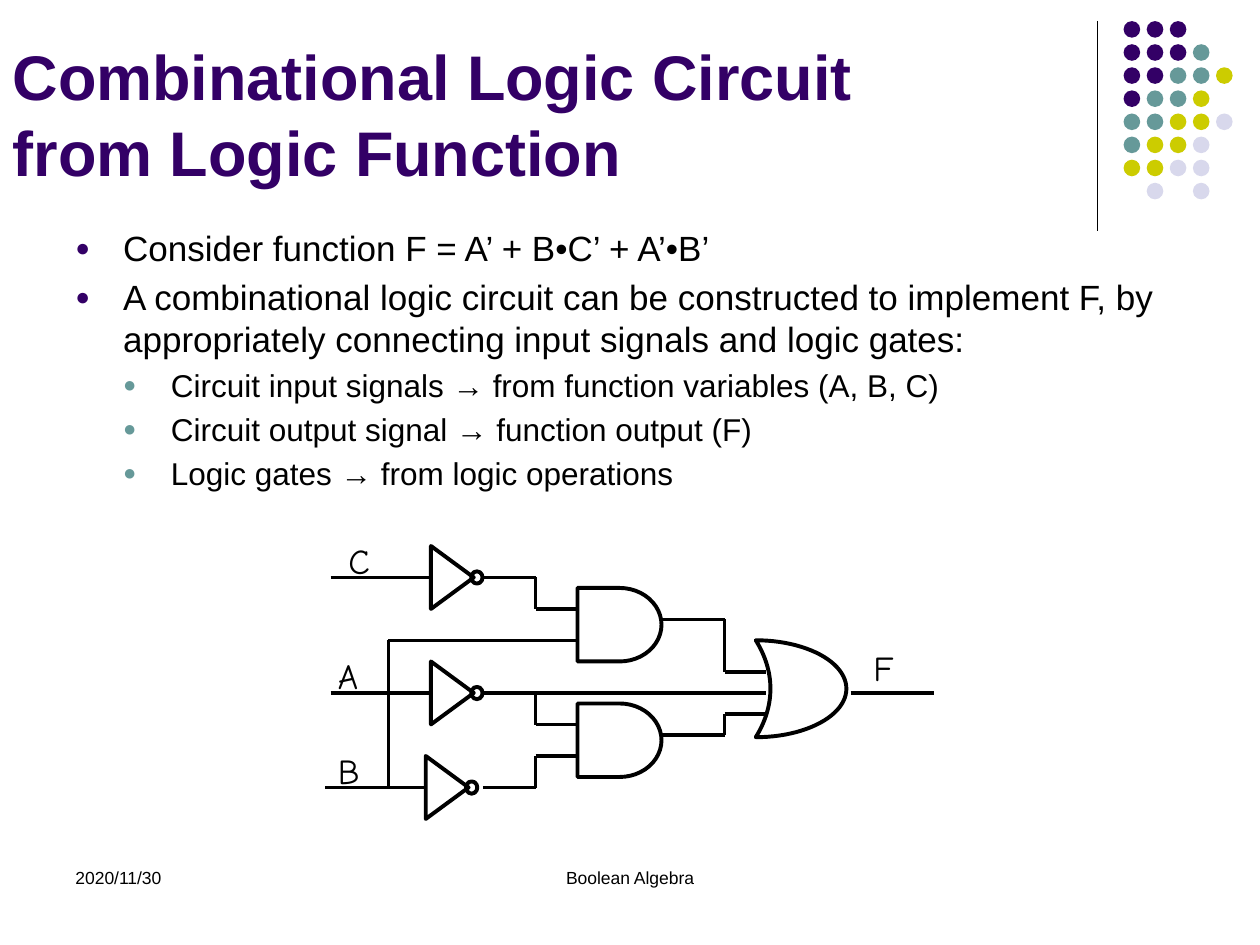
from dataclasses import dataclass

from lxml.etree import SubElement
from pptx import Presentation
from pptx.dml.color import RGBColor as RGB
from pptx.enum.shapes import MSO_CONNECTOR as LINK, MSO_SHAPE as SHAPE
from pptx.enum.text import MSO_ANCHOR as ANCHOR, MSO_AUTO_SIZE as FIT, PP_ALIGN as ALIGN
from pptx.oxml.ns import qn
from pptx.util import Pt


@dataclass(frozen=True)
class Theme:
    """Colours, fonts and type sizes of the slide."""
    black = RGB.from_string("000000")
    white = RGB.from_string("FFFFFF")
    purple = RGB.from_string("330066")
    teal = RGB.from_string("669999")
    yellow = RGB.from_string("CCCC00")
    lavender = RGB.from_string("D8D8EC")
    font = "Arial"
    label_font = "Comic Neue"
    title_size = 36
    body_sizes = (20, 18)
    label_size = 20
    footer_size = 10


theme = Theme()
prs = Presentation()
prs.slide_width, prs.slide_height = Pt(720), Pt(540)
slide = prs.slides.add_slide(prs.slide_layouts[5])
shapes = slide.shapes


def style_text(paragraph, size, color=theme.black, font=theme.font, bold=False):
    """Format every run of a paragraph."""
    for run in paragraph.runs:
        run.font.size, run.font.name, run.font.bold = Pt(size), font, bold
        run.font.color.rgb = color


def add_part(kind, center_x, center_y, width, height, fill=None, line_width=2.25):
    """Add a shape around its centre, either filled or outlined in black."""
    part = shapes.add_shape(kind, Pt(center_x - width / 2), Pt(center_y - height / 2),
                            Pt(width), Pt(height))
    part.shadow.inherit = False
    if fill is None:
        part.fill.background()
        part.line.color.rgb = theme.black
        part.line.width = Pt(line_width)
    else:
        part.fill.solid()
        part.fill.fore_color.rgb = fill
        part.line.fill.background()
    return part


# Title
title = shapes.title
title.left, title.top, title.width, title.height = Pt(0), Pt(21.6), Pt(720), Pt(90)
title.text_frame.text = "Combinational Logic Circuit\vfrom Logic Function"
title.text_frame.auto_size = FIT.NONE
title.text_frame.vertical_anchor = ANCHOR.BOTTOM
heading = title.text_frame.paragraphs[0]
heading.alignment = ALIGN.LEFT
style_text(heading, theme.title_size, theme.purple, bold=True)

# Dot ornament
dot_colors = {"P": theme.purple, "T": theme.teal, "Y": theme.yellow, "L": theme.lavender}
dot_rows = ("PPP", "PPPT", "PPTTY", "PTTY", "TTYYL", "TYYL", "YYLL", " L L")
dot_pitch, dot_size = 13.2, 9.5
for row, pattern in enumerate(dot_rows):
    for column, key in enumerate(pattern):
        if key in dot_colors:
            add_part(SHAPE.OVAL, 646.8 + column * dot_pitch, 16.8 + row * dot_pitch,
                     dot_size, dot_size, dot_colors[key])

# Bulleted text
points = (
    (0, "Consider function F = A’ + B•C’ + A’•B’"),
    (0, "A combinational logic circuit can be constructed to implement F, by "
        "appropriately connecting input signals and logic gates:"),
    (1, "Circuit input signals → from function variables (A, B, C)"),
    (1, "Circuit output signal → function output (F)"),
    (1, "Logic gates → from logic operations"),
)
body = shapes.add_textbox(Pt(36), Pt(126), Pt(648), Pt(356)).text_frame
body.word_wrap = True
indent = Pt(27.3)
for index, (level, text) in enumerate(points):
    point = body.add_paragraph() if index else body.paragraphs[0]
    point.text, point.level = text, level
    point.space_before = Pt(theme.body_sizes[level] * 0.2)
    style_text(point, theme.body_sizes[level])
    props = point._p.get_or_add_pPr()
    props.set("marL", str(indent * (level + 1)))
    props.set("indent", str(-indent))
    bullet_color = SubElement(props, qn("a:buClr"))
    SubElement(bullet_color, qn("a:srgbClr"), val=str((theme.purple, theme.teal)[level]))
    SubElement(props, qn("a:buSzPct"), val="70000")
    SubElement(props, qn("a:buFont"), typeface=theme.font)
    SubElement(props, qn("a:buChar"), char="●")

# Circuit: backdrop, inverters, AND gates, OR gate
add_part(SHAPE.RECTANGLE, 363, 390, 414, 192, theme.white)
for gate_x, gate_y in ((258.5, 330), (258.5, 396), (255.5, 450)):
    inverter = add_part(SHAPE.ISOSCELES_TRIANGLE, gate_x, gate_y, 36, 24.5)
    inverter.rotation = 90
    add_part(SHAPE.OVAL, gate_x + 14, gate_y, 6.5, 7)
for gate_y in (357, 423):
    add_part(SHAPE.FLOWCHART_DELAY, 354, gate_y, 48, 42)
or_gate = add_part(SHAPE.MOON, 457.8, 393.6, 51.8, 55.4)
or_gate.adjustments[0] = 0.838
or_gate._element.spPr.xfrm.set("flipH", "1")

# Each wire is a chain of corner points
wires = (
    ((189, 330), (246, 330)),
    ((189, 396), (246, 396)),
    ((186, 450), (243, 450)),
    ((222, 450), (222, 366), (330, 366)),
    ((276, 330), (306, 330), (306, 348), (330, 348)),
    ((276, 396), (438, 396)),
    ((306, 396), (306, 414), (330, 414)),
    ((276, 450), (306, 450), (306, 432), (330, 432)),
    ((378, 354), (414, 354), (414, 384), (438, 384)),
    ((378, 420), (414, 420), (414, 408), (438, 408)),
    ((486, 396), (534, 396)),
)
segments = [(start, end, 2 if start[0] == end[0] else 2.25)
            for wire in wires for start, end in zip(wire, wire[1:])]
divider = ((627, 12), (627, 132), 0.75)
for start, end, width in [divider] + segments:
    segment = shapes.add_connector(LINK.STRAIGHT, *map(Pt, start + end))
    segment.line.color.rgb = theme.black
    segment.line.width = Pt(width)
    SubElement(segment._element.spPr, qn("a:effectLst"))

# Signal names and footer
signal = (36, 31, theme.label_size, theme.label_font, ALIGN.LEFT)
captions = (
    ("C", 192, 304.5, *signal),
    ("A", 186, 370.5, *signal),
    ("B", 186, 424.5, *signal),
    ("F", 492, 366, *signal),
    ("2020/11/30", 36, 492, 168, 36, theme.footer_size, theme.font, ALIGN.LEFT),
    ("Boolean Algebra", 246, 492, 228, 36, theme.footer_size, theme.font, ALIGN.CENTER),
)
for text, left, top, width, height, size, font, alignment in captions:
    frame = shapes.add_textbox(Pt(left), Pt(top), Pt(width), Pt(height)).text_frame
    frame.word_wrap = True
    frame.text = text
    frame.paragraphs[0].alignment = alignment
    style_text(frame.paragraphs[0], size, font=font)

prs.save("out.pptx")
